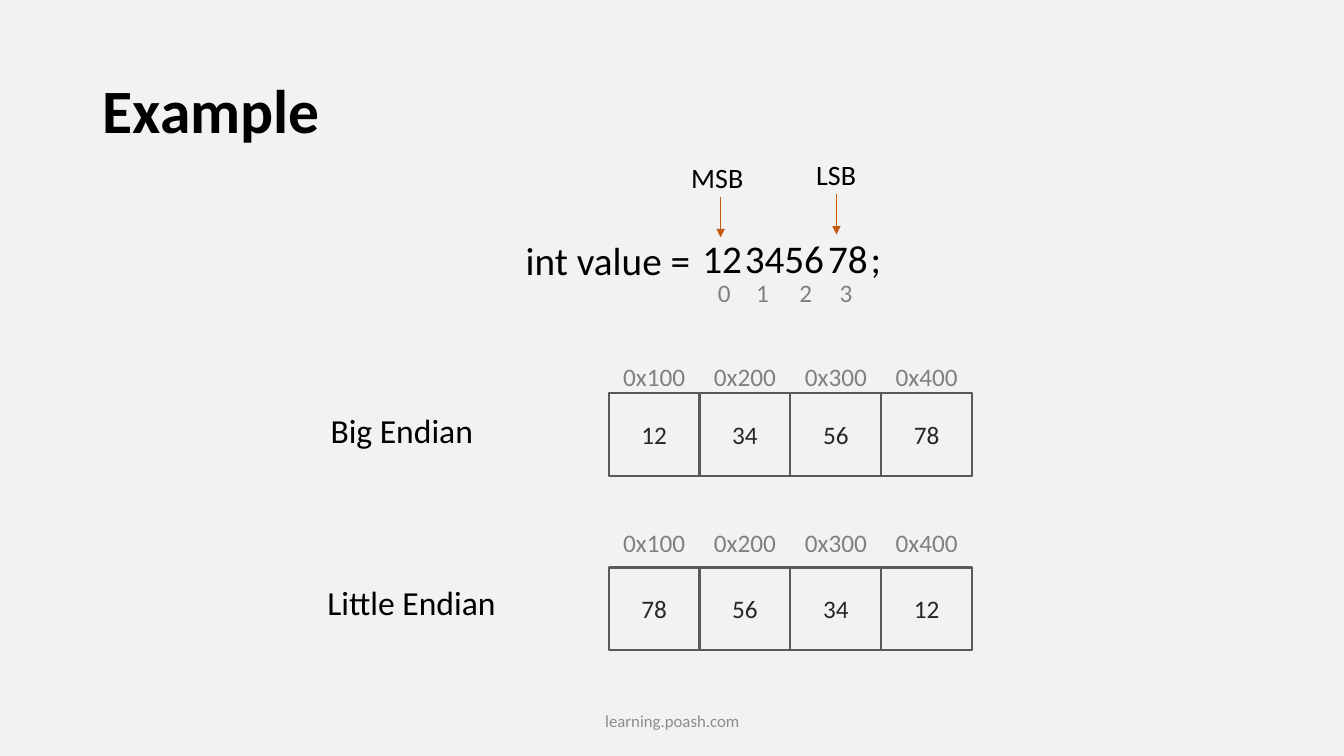
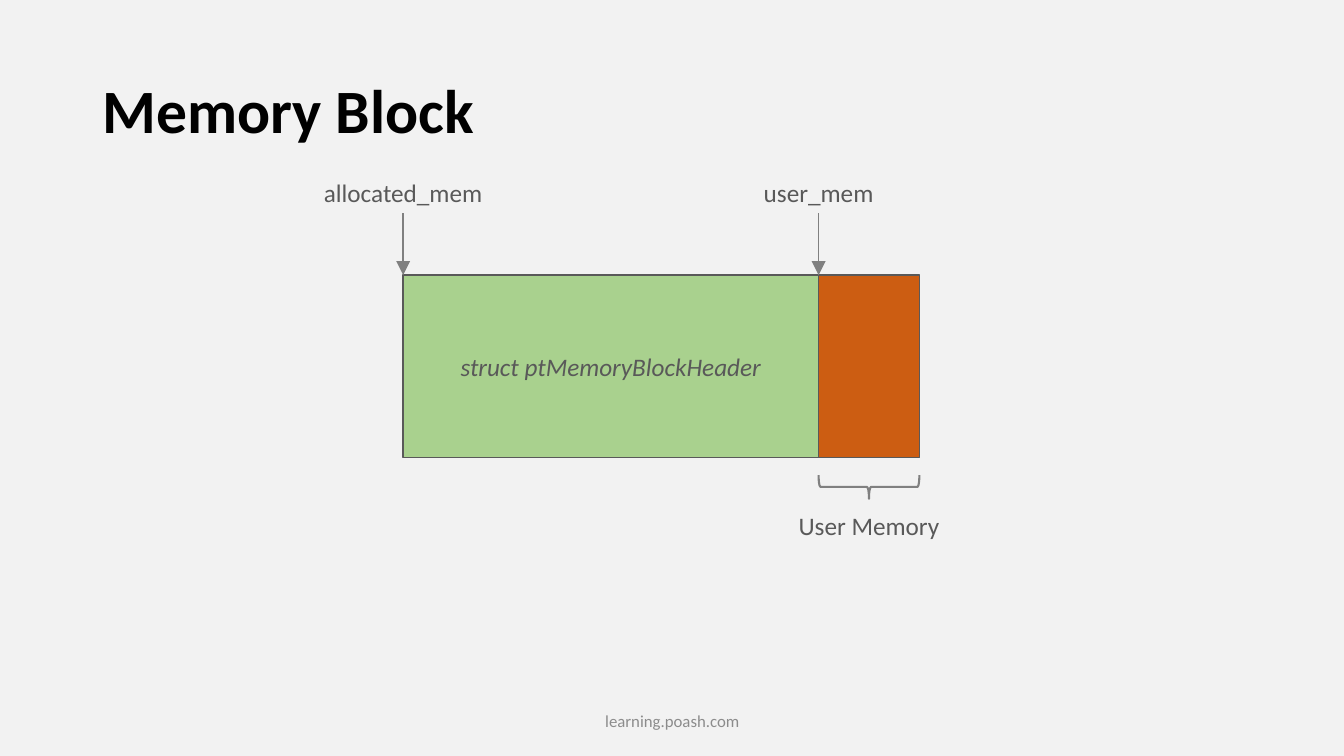
"""Build two slides on byte order and on the layout of a memory block."""
from lxml.etree import SubElement
from pptx import Presentation
from pptx.dml.color import RGBColor
from pptx.enum.shapes import MSO_CONNECTOR, MSO_SHAPE
from pptx.enum.text import MSO_ANCHOR, PP_ALIGN
from pptx.oxml.ns import qn
from pptx.util import Cm, Pt

FONT = "Calibri"
COLOURS = {
    "background": "F2F2F2",
    "text": "000000",
    "cell text": "262626",
    "outline": "595959",
    "muted": "808080",
    "footer": "8C8C8C",
    "byte arrow": "C55A11",
    "header block": "A9D18E",
    "user block": "CC5D12",
}

FOOTER = "learning.poash.com"

EXAMPLE_TITLE = "Example"
DECLARATION = [
    ("int value =", 13, 5.82, 5.16),
    ("12", 17.45, 5.79, 1.52),
    ("3456", 18.52, 5.77, 2.54),
    ("78", 20.62, 5.77, 1.52),
    (";", 21.69, 5.77, 0.79),
]
BYTE_INDEXES = [("0", 17.83), ("1", 18.8), ("2", 19.89), ("3", 20.9)]
BYTE_ENDS = [("MSB", 17.17, 3.91, 1.83, 18.16), ("LSB", 20.32, 3.84, 1.52, 21.08)]
ADDRESSES = ["0x100", "0x200", "0x300", "0x400"]
BYTE_ORDERS = [
    {"name": "Big Endian", "name_at": (8.08, 10.21), "address_top": 8.99,
     "cell_top": 9.91, "values": ["12", "34", "56", "78"]},
    {"name": "Little Endian", "name_at": (8, 14.53), "address_top": 13.16,
     "cell_top": 14.3, "values": ["78", "56", "34", "12"]},
]
CELLS_LEFT, CELL_WIDTH, CELL_HEIGHT = 15.34, 2.29, 2.08

MEMORY_TITLE = "Memory Block"
HEADER_TEXT = "struct ptMemoryBlockHeader"
USER_TEXT = "User Memory"
POINTERS = ["allocated_mem", "user_mem"]
BLOCK_LEFT, BLOCK_TOP, BLOCK_HEIGHT = 10.16, 6.93, 4.6
HEADER_WIDTH, USER_WIDTH = 10.47, 2.54
LABEL_WIDTH, LABEL_HEIGHT = 4.6, 1.02
POINTER_TOP = 4.35
BRACE_DEPTH, BRACE_MIDDLE = 0.6, 12.27


def rgb(name):
    return RGBColor.from_string(COLOURS[name])


def style(paragraph, size, colour, align=PP_ALIGN.LEFT, bold=False, italic=False):
    paragraph.alignment = align
    font = paragraph.font
    font.name, font.size = FONT, Pt(size)
    font.bold, font.italic = bold, italic
    font.color.rgb = rgb(colour)


def add_text(slide, text, box, size, colour="text", align=PP_ALIGN.LEFT,
             bold=False, anchor=MSO_ANCHOR.TOP, wrap=True):
    label = slide.shapes.add_textbox(*map(Cm, box))
    frame = label.text_frame
    frame.word_wrap = wrap
    frame.vertical_anchor = anchor
    paragraph = frame.paragraphs[0]
    paragraph.text = text
    style(paragraph, size, colour, align, bold)
    return label


def add_box(slide, box, line_width, fill=None, text="", colour="cell text",
            italic=False):
    block = slide.shapes.add_shape(MSO_SHAPE.RECTANGLE, *map(Cm, box))
    block.shadow.inherit = False
    if fill:
        block.fill.solid()
        block.fill.fore_color.rgb = rgb(fill)
    else:
        block.fill.background()
    block.line.color.rgb = rgb("outline")
    block.line.width = Pt(line_width)
    if text:
        frame = block.text_frame
        frame.vertical_anchor = MSO_ANCHOR.MIDDLE
        frame.text = text
        style(frame.paragraphs[0], 18, colour, PP_ALIGN.CENTER, italic=italic)


def add_down_arrow(slide, x, top, bottom, colour, width, head="med"):
    arrow = slide.shapes.add_connector(
        MSO_CONNECTOR.STRAIGHT, Cm(x), Cm(top), Cm(x), Cm(bottom))
    arrow.line.color.rgb = rgb(colour)
    arrow.line.width = Pt(width)
    SubElement(arrow.line._get_or_add_ln(), qn("a:tailEnd"), type="triangle",
               w=head, len=head)
    SubElement(arrow._element.spPr, qn("a:effectLst"))


def add_base_slide(deck, title):
    slide = deck.slides.add_slide(deck.slide_layouts[6])
    slide.background.fill.solid()
    slide.background.fill.fore_color.rgb = rgb("background")
    heading = add_text(slide, title, (2.34, 1.02, 29.21, 3.68), 44, bold=True,
                       anchor=MSO_ANCHOR.MIDDLE)
    heading.text_frame.paragraphs[0].line_spacing = 0.9
    add_text(slide, FOOTER, (11.23, 17.65, 11.43, 1.02), 12, "footer",
             PP_ALIGN.CENTER, anchor=MSO_ANCHOR.MIDDLE)
    return slide


def build_example(deck):
    slide = add_base_slide(deck, EXAMPLE_TITLE)
    for text, left, top, width in DECLARATION:
        add_text(slide, text, (left, top, width, 1.45), 28, wrap=False)
    for index, left in BYTE_INDEXES:
        add_text(slide, index, (left, 6.86, 0.84, LABEL_HEIGHT), 18, "muted",
                 PP_ALIGN.CENTER, wrap=False)
    for name, left, top, width, arrow_x in BYTE_ENDS:
        add_text(slide, name, (left, top, width, 1.12), 20, wrap=False)
        add_down_arrow(slide, arrow_x, top + 1.05, top + 2.07, "byte arrow", 0.5)
    for order in BYTE_ORDERS:
        add_text(slide, order["name"], (*order["name_at"], 5, 1.27), 24)
        for column, (address, value) in enumerate(zip(ADDRESSES, order["values"])):
            left = CELLS_LEFT + column * CELL_WIDTH
            add_text(slide, address,
                     (left, order["address_top"], CELL_WIDTH, LABEL_HEIGHT),
                     18, "muted", PP_ALIGN.CENTER)
            add_box(slide, (left, order["cell_top"], CELL_WIDTH, CELL_HEIGHT),
                    1.5, text=value)


def build_memory_block(deck):
    slide = add_base_slide(deck, MEMORY_TITLE)
    user_left = BLOCK_LEFT + HEADER_WIDTH
    user_middle = user_left + USER_WIDTH / 2
    add_box(slide, (user_left, BLOCK_TOP, USER_WIDTH, BLOCK_HEIGHT), 1, "user block")
    add_box(slide, (BLOCK_LEFT, BLOCK_TOP, HEADER_WIDTH, BLOCK_HEIGHT), 1,
            "header block", HEADER_TEXT, "outline", italic=True)
    for name, x in zip(POINTERS, (BLOCK_LEFT, user_left)):
        add_text(slide, name,
                 (x - LABEL_WIDTH / 2, POINTER_TOP, LABEL_WIDTH, LABEL_HEIGHT),
                 18, "outline", PP_ALIGN.CENTER)
        add_down_arrow(slide, x, POINTER_TOP + LABEL_HEIGHT, BLOCK_TOP,
                       "muted", 1, "lg")
    brace = slide.shapes.add_shape(
        MSO_SHAPE.LEFT_BRACE, Cm(user_middle - BRACE_DEPTH / 2),
        Cm(BRACE_MIDDLE - USER_WIDTH / 2), Cm(BRACE_DEPTH), Cm(USER_WIDTH))
    brace.rotation = 270
    brace.adjustments[0], brace.adjustments[1] = 0.08, 0.5
    brace.shadow.inherit = False
    brace.fill.background()
    brace.line.color.rgb = rgb("muted")
    brace.line.width = Pt(1.5)
    add_text(slide, USER_TEXT,
             (user_middle - LABEL_WIDTH / 2, 12.73, LABEL_WIDTH, LABEL_HEIGHT),
             18, "outline", PP_ALIGN.CENTER)


def main():
    deck = Presentation()
    deck.slide_width, deck.slide_height = Cm(33.87), Cm(19.05)
    build_example(deck)
    build_memory_block(deck)
    deck.save("out.pptx")


if __name__ == "__main__":
    main()
